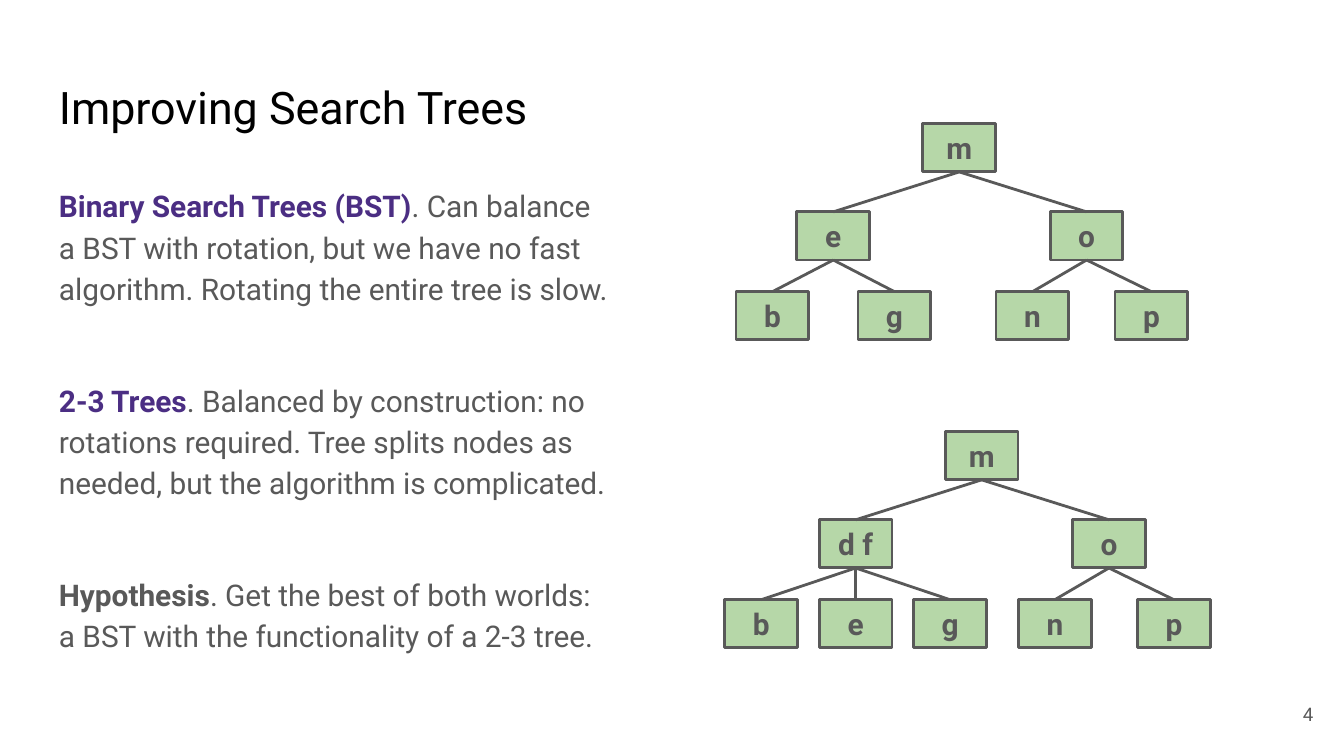
from dataclasses import dataclass

from lxml import etree
from pptx import Presentation
from pptx.dml.color import RGBColor
from pptx.enum.shapes import MSO_CONNECTOR, MSO_SHAPE
from pptx.enum.text import MSO_ANCHOR, PP_ALIGN
from pptx.oxml.ns import qn
from pptx.util import Pt

RECTANGLE = MSO_SHAPE.RECTANGLE
STRAIGHT = MSO_CONNECTOR.STRAIGHT
TOP, MIDDLE = MSO_ANCHOR.TOP, MSO_ANCHOR.MIDDLE
LEFT, CENTER, RIGHT = PP_ALIGN.LEFT, PP_ALIGN.CENTER, PP_ALIGN.RIGHT
TOP_SIDE, BOTTOM_SIDE = 0, 2


@dataclass(frozen=True)
class Theme:
    font: str = "Roboto"
    black: RGBColor = RGBColor(0, 0, 0)
    gray: RGBColor = RGBColor(0x59, 0x59, 0x59)
    purple: RGBColor = RGBColor(0x4B, 0x2E, 0x83)
    green: RGBColor = RGBColor(0xB6, 0xD7, 0xA8)
    title_size: int = 24
    body_size: int = 16
    number_size: int = 10
    stroke: float = 1.5


THEME = Theme()

TITLE = "Improving Search Trees"
SLIDE_NUMBER = "4"
POINTS = [
    ("Binary Search Trees (BST)", THEME.purple,
     ". Can balance a BST with rotation, but we have no fast algorithm. "
     "Rotating the entire tree is slow."),
    ("2-3 Trees", THEME.purple,
     ". Balanced by construction: no rotations required. Tree splits nodes as needed, "
     "but the algorithm is complicated."),
    ("Hypothesis", THEME.gray,
     ". Get the best of both worlds: a BST with the functionality of a 2-3 tree."),
]

# label, horizontal offset from the parent's centre, children
RIGHT_BRANCH = ("o", 68.2, [("n", -29, []), ("p", 34.8, [])])
BINARY_TREE = ("m", 0, [
    ("e", -67.5, [("b", -32.6, []), ("g", 32.8, [])]),
    RIGHT_BRANCH,
])
TWO_THREE_TREE = ("m", 0, [
    ("d f", -67.5, [("b", -50.6, []), ("e", 0, []), ("g", 50.6, [])]),
    RIGHT_BRANCH,
])
TREES = [(BINARY_TREE, 513.9, 66.3), (TWO_THREE_TREE, 525.9, 231.3)]

NODE_WIDTH, NODE_HEIGHT = 39, 25.8
LEVEL_OFFSETS = [0, 47.2, 90]
INSET = 7.2
POINT_GAP = 38


def add_run(paragraph, text, size, color, bold=False):
    run = paragraph.add_run()
    run.text = text
    run.font.name = THEME.font
    run.font.size = Pt(size)
    run.font.bold = bold
    run.font.color.rgb = color


def prepare_frame(shape, anchor, align):
    frame = shape.text_frame
    frame.word_wrap = True
    frame.vertical_anchor = anchor
    frame.margin_left = frame.margin_right = Pt(INSET)
    frame.margin_top = frame.margin_bottom = Pt(INSET)
    frame.paragraphs[0].alignment = align
    return frame


def add_text_box(slide, left, top, width, height, anchor=TOP, align=LEFT):
    box = slide.shapes.add_textbox(Pt(left), Pt(top), Pt(width), Pt(height))
    return prepare_frame(box, anchor, align)


def add_points(slide):
    frame = add_text_box(slide, 24.5, 90.7, 311, 269.3)
    for index, (term, color, explanation) in enumerate(POINTS):
        paragraph = frame.add_paragraph() if index else frame.paragraphs[0]
        paragraph.line_spacing = 1.15
        if index:
            paragraph.space_before = Pt(POINT_GAP)
        add_run(paragraph, term, THEME.body_size, color, bold=True)
        add_run(paragraph, explanation, THEME.body_size, THEME.gray)


def add_node(group, label, center, top):
    node = group.shapes.add_shape(
        RECTANGLE, Pt(center - NODE_WIDTH / 2), Pt(top), Pt(NODE_WIDTH), Pt(NODE_HEIGHT))
    node.shadow.inherit = False
    node.fill.solid()
    node.fill.fore_color.rgb = THEME.green
    node.line.color.rgb = THEME.gray
    node.line.width = Pt(THEME.stroke)
    frame = prepare_frame(node, MIDDLE, CENTER)
    add_run(frame.paragraphs[0], label, THEME.body_size, THEME.gray, bold=True)
    return node


def add_branch(group, parent, child):
    branch = group.shapes.add_connector(
        STRAIGHT,
        parent.left + parent.width // 2, parent.top + parent.height,
        child.left + child.width // 2, child.top)
    branch.begin_connect(parent, BOTTOM_SIDE)
    branch.end_connect(child, TOP_SIDE)
    branch.line.color.rgb = THEME.gray
    branch.line.width = Pt(THEME.stroke)
    etree.SubElement(branch._element.spPr, qn("a:effectLst"))


def add_tree(group, tree, parent_center, root_top, level=0):
    label, offset, children = tree
    center = parent_center + offset
    node = add_node(group, label, center, root_top + LEVEL_OFFSETS[level])
    for child in children:
        add_branch(group, node, add_tree(group, child, center, root_top, level + 1))
    return node


def main():
    deck = Presentation()
    deck.slide_width, deck.slide_height = Pt(720), Pt(405)
    slide = deck.slides.add_slide(deck.slide_layouts[6])

    title = add_text_box(slide, 24.5, 35.3, 311, 45.4)
    add_run(title.paragraphs[0], TITLE, THEME.title_size, THEME.black)
    add_points(slide)
    number = add_text_box(slide, 667.4, 367.2, 43.2, 31, MIDDLE, RIGHT)
    add_run(number.paragraphs[0], SLIDE_NUMBER, THEME.number_size, THEME.gray)

    for tree, root_center, root_top in TREES:
        add_tree(slide.shapes.add_group_shape(), tree, root_center, root_top)

    deck.save("out.pptx")


if __name__ == "__main__":
    main()
